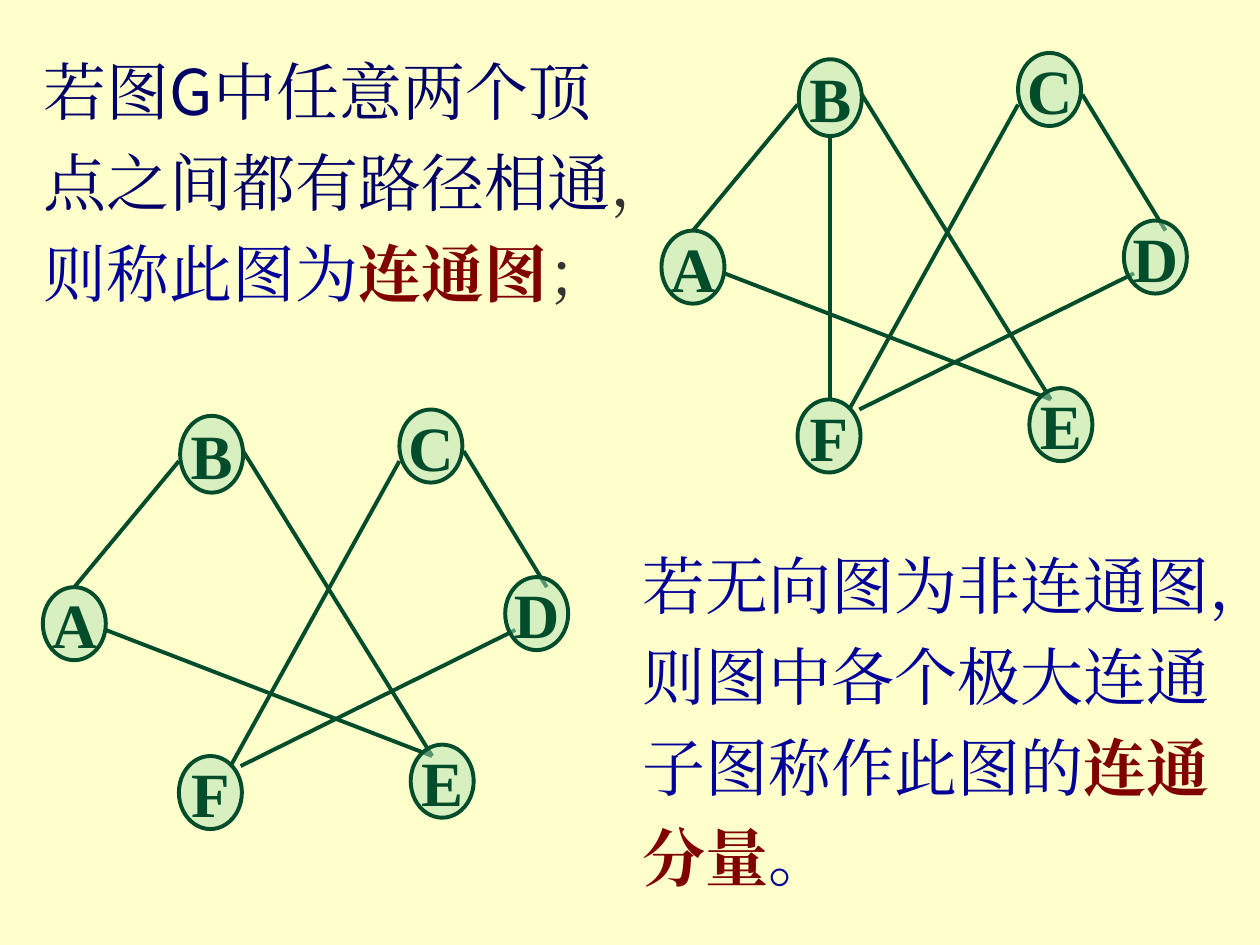
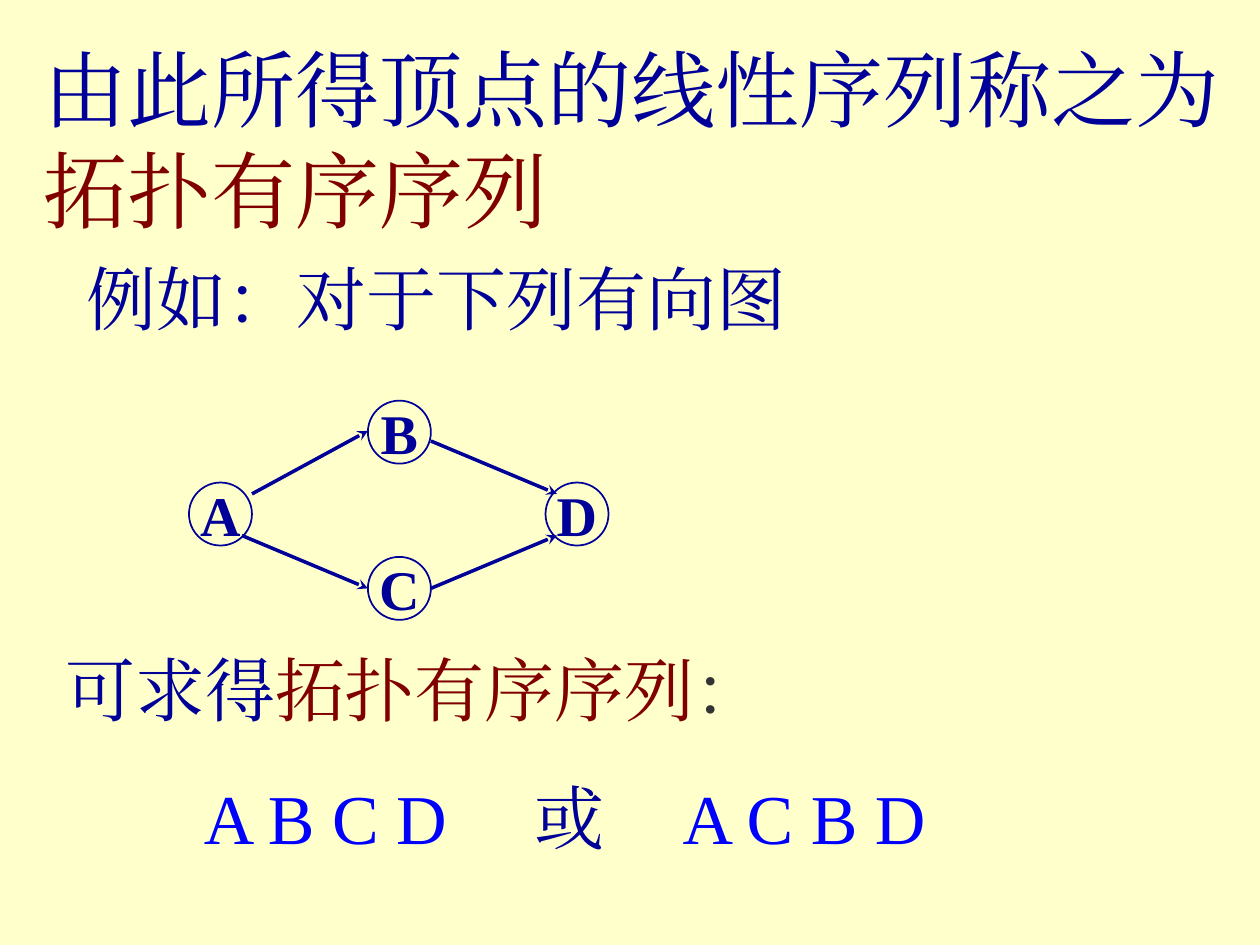
from dataclasses import dataclass

from lxml import etree
from pptx import Presentation
from pptx.dml.color import RGBColor
from pptx.enum.shapes import MSO_CONNECTOR, MSO_SHAPE
from pptx.enum.text import MSO_ANCHOR, MSO_AUTO_SIZE, PP_ALIGN
from pptx.oxml.ns import qn
from pptx.util import Inches, Pt

STRAIGHT = MSO_CONNECTOR.STRAIGHT
OVAL = MSO_SHAPE.OVAL
MIDDLE = MSO_ANCHOR.MIDDLE
CENTER = PP_ALIGN.CENTER
FIT_SHAPE = MSO_AUTO_SIZE.SHAPE_TO_FIT_TEXT

COLORS = {
    "paper": "FFFFCC", "navy": "000099", "deep navy": "000066",
    "blue": "0000FF", "maroon": "800000", "gray": "333333",
    "green": "004C2B", "mint": "B3E1B3",
}
SERIF = "Times New Roman"
SANS = "Noto Sans CJK SC"
LINE_HEIGHT = 1.2  # line pitch as a multiple of the text size


@dataclass(frozen=True)
class Span:
    text: str
    color: str
    bold: bool = False


@dataclass(frozen=True)
class Line:
    spans: tuple[Span, ...]
    space_before: float = 0
    tabs: tuple[float, ...] = ()


@dataclass(frozen=True)
class TextBlock:
    left: float
    top: float
    width: float
    height: float
    size: int
    lines: tuple[Line, ...]
    font: str = SERIF
    spacing: float = 1.0
    wrap: bool = True


@dataclass(frozen=True)
class Vertex:
    label: str
    left: float
    top: float
    height: float


@dataclass(frozen=True)
class Edge:
    x1: float
    y1: float
    x2: float
    y2: float


@dataclass(frozen=True)
class GraphStyle:
    color: str
    text_size: int
    vertex_line: float
    edge_line: float
    fill: str = ""
    arrows: bool = False


VERTEX_WIDTH = 0.5
UNDIRECTED = GraphStyle("green", 36, 2.25, 2.25, fill="mint")
DIRECTED = GraphStyle("navy", 32, 1, 2, arrows=True)

# Slide 1: the connected graph; the lower graph is the same, moved, without B-F
BACK_VERTICES = (Vertex("B", 6.34, 0.47, 0.61), Vertex("A", 5.25, 1.83, 0.58))
FRONT_VERTICES = (
    Vertex("C", 8.08, 0.42, 0.58), Vertex("D", 8.92, 1.75, 0.58),
    Vertex("F", 6.33, 3.17, 0.58), Vertex("E", 8.17, 3.08, 0.58),
)
SHARED_EDGES = (
    Edge(6.33, 0.83, 5.5, 1.83), Edge(6.84, 0.75, 8.34, 3.17),
    Edge(5.75, 2.17, 8.34, 3.17), Edge(8.08, 0.83, 6.74, 3.25),
    Edge(8.59, 0.75, 9.25, 1.83), Edge(9, 2.17, 6.82, 3.25),
)
EDGE_BF = Edge(6.59, 1.06, 6.59, 3.17)
LOWER_SHIFT = (-4.91, 2.83)

CONNECTED_TEXTS = (
    TextBlock(0.25, 0.25, 4.75, 2.98, 36, (
        Line((
            Span("若图G中任意两个顶点之间都有路径相通", "deep navy"),
            Span("，", "gray"),
            Span("则称此图为", "navy"),
            Span("连通图", "maroon", True),
            Span("；", "gray"),
        )),
    ), font=SANS, spacing=1.2),
    TextBlock(5, 4.17, 4.75, 2.98, 36, (
        Line((
            Span("若无向图为非连通图，则图中各个极大连通子图称作此图的", "navy"),
            Span("连通分量", "maroon", True),
            Span("。", "navy"),
        )),
    ), spacing=1.2),
)

# Slide 2: the directed graph and its topological orders
ORDER_VERTICES = (
    Vertex("B", 2.92, 3.18, 0.5), Vertex("D", 4.33, 3.83, 0.5),
    Vertex("A", 1.5, 3.83, 0.5), Vertex("C", 2.92, 4.42, 0.5),
)
ORDER_EDGES = (
    Edge(2, 3.92, 2.92, 3.42), Edge(1.92, 4.25, 2.92, 4.67),
    Edge(3.42, 3.5, 4.42, 3.92), Edge(3.42, 4.67, 4.42, 4.25),
)
ORDER_TEXTS = (
    TextBlock(0.59, 1.98, 5.75, 0.77, 40, (
        Line((Span("例如：对于下列有向图", "navy"),)),
    ), wrap=False),
    TextBlock(0.42, 5.08, 9, 1.78, 40, (
        Line((Span("可求得", "navy"), Span("拓扑有序序列", "maroon"),
              Span("：", "gray"))),
        Line((Span("\tA B C D", "blue"), Span("\t或", "navy"),
              Span("\tA C B D", "blue")),
             space_before=25, tabs=(1.1, 3.72, 4.9)),
    )),
    TextBlock(0.25, 0.25, 9.75, 1.7, 48, (
        Line((Span("由此所得顶点的线性序列称之为", "navy"),
              Span("拓扑有序序列", "maroon"))),
    )),
)


def rgb(name: str) -> RGBColor:
    return RGBColor.from_string(COLORS[name])


def set_tabs(para, stops: tuple[float, ...]) -> None:
    tab_list = etree.SubElement(para._p.get_or_add_pPr(), qn("a:tabLst"))
    for stop in stops:
        etree.SubElement(tab_list, qn("a:tab"), pos=str(Inches(stop)), algn="l")


def set_font(para, name: str, size: int) -> None:
    para.font.name = name
    para.font.size = Pt(size)
    latin = para.font._element.find(qn("a:latin"))
    east_asian = etree.Element(qn("a:ea"), typeface=SERIF)
    latin.addnext(east_asian)


def add_text(page, block: TextBlock) -> None:
    box = page.shapes.add_textbox(Inches(block.left), Inches(block.top),
                                  Inches(block.width), Inches(block.height))
    frame = box.text_frame
    frame.word_wrap = block.wrap
    frame.auto_size = FIT_SHAPE
    for index, line in enumerate(block.lines):
        para = frame.add_paragraph() if index else frame.paragraphs[0]
        para.line_spacing = Pt(block.size * LINE_HEIGHT * block.spacing)
        if line.space_before:
            para.space_before = Pt(line.space_before)
        if line.tabs:
            set_tabs(para, line.tabs)
        set_font(para, block.font, block.size)
        for span in line.spans:
            run = para.add_run()
            run.text = span.text
            run.font.color.rgb = rgb(span.color)
            run.font.bold = span.bold


def add_vertex(page, vertex: Vertex, style: GraphStyle,
               dx: float = 0, dy: float = 0) -> None:
    oval = page.shapes.add_shape(
        OVAL, Inches(vertex.left + dx), Inches(vertex.top + dy),
        Inches(VERTEX_WIDTH), Inches(vertex.height))
    oval.shadow.inherit = False
    oval.line.color.rgb = rgb(style.color)
    oval.line.width = Pt(style.vertex_line)
    if style.fill:
        oval.fill.solid()
        oval.fill.fore_color.rgb = rgb(style.fill)
        tint = oval._element.spPr.find(qn("a:solidFill"))[0]
        etree.SubElement(tint, qn("a:alpha"), val="50000")
    else:
        oval.fill.background()
    frame = oval.text_frame
    frame.word_wrap = False
    frame.vertical_anchor = MIDDLE
    para = frame.paragraphs[0]
    para.text = vertex.label
    para.alignment = CENTER
    set_font(para, SERIF, style.text_size)
    para.font.bold = True
    para.runs[0].font.color.rgb = rgb(style.color)


def add_edge(page, edge: Edge, style: GraphStyle,
             dx: float = 0, dy: float = 0) -> None:
    link = page.shapes.add_connector(
        STRAIGHT, Inches(edge.x1 + dx), Inches(edge.y1 + dy),
        Inches(edge.x2 + dx), Inches(edge.y2 + dy))
    link.line.color.rgb = rgb(style.color)
    link.line.width = Pt(style.edge_line)
    if style.arrows:
        etree.SubElement(link.line._get_or_add_ln(), qn("a:tailEnd"),
                         type="stealth")
    etree.SubElement(link._element.spPr, qn("a:effectLst"))


def add_undirected_graph(page, edges: tuple[Edge, ...],
                         dx: float = 0, dy: float = 0) -> None:
    for vertex in BACK_VERTICES:
        add_vertex(page, vertex, UNDIRECTED, dx, dy)
    for edge in edges:
        add_edge(page, edge, UNDIRECTED, dx, dy)
    for vertex in FRONT_VERTICES:
        add_vertex(page, vertex, UNDIRECTED, dx, dy)


def add_page(deck):
    page = deck.slides.add_slide(deck.slide_layouts[6])
    page.background.fill.solid()
    page.background.fill.fore_color.rgb = rgb("paper")
    return page


def build_connected_page(deck) -> None:
    page = add_page(deck)
    for block in CONNECTED_TEXTS:
        add_text(page, block)
    add_undirected_graph(page, SHARED_EDGES + (EDGE_BF,))
    add_undirected_graph(page, SHARED_EDGES, *LOWER_SHIFT)


def build_order_page(deck) -> None:
    page = add_page(deck)
    for vertex in ORDER_VERTICES:
        add_vertex(page, vertex, DIRECTED)
    for edge in ORDER_EDGES:
        add_edge(page, edge, DIRECTED)
    for block in ORDER_TEXTS:
        add_text(page, block)


def main() -> None:
    deck = Presentation()
    deck.slide_width, deck.slide_height = Inches(10), Inches(7.5)
    build_connected_page(deck)
    build_order_page(deck)
    deck.save("out.pptx")


if __name__ == "__main__":
    main()
